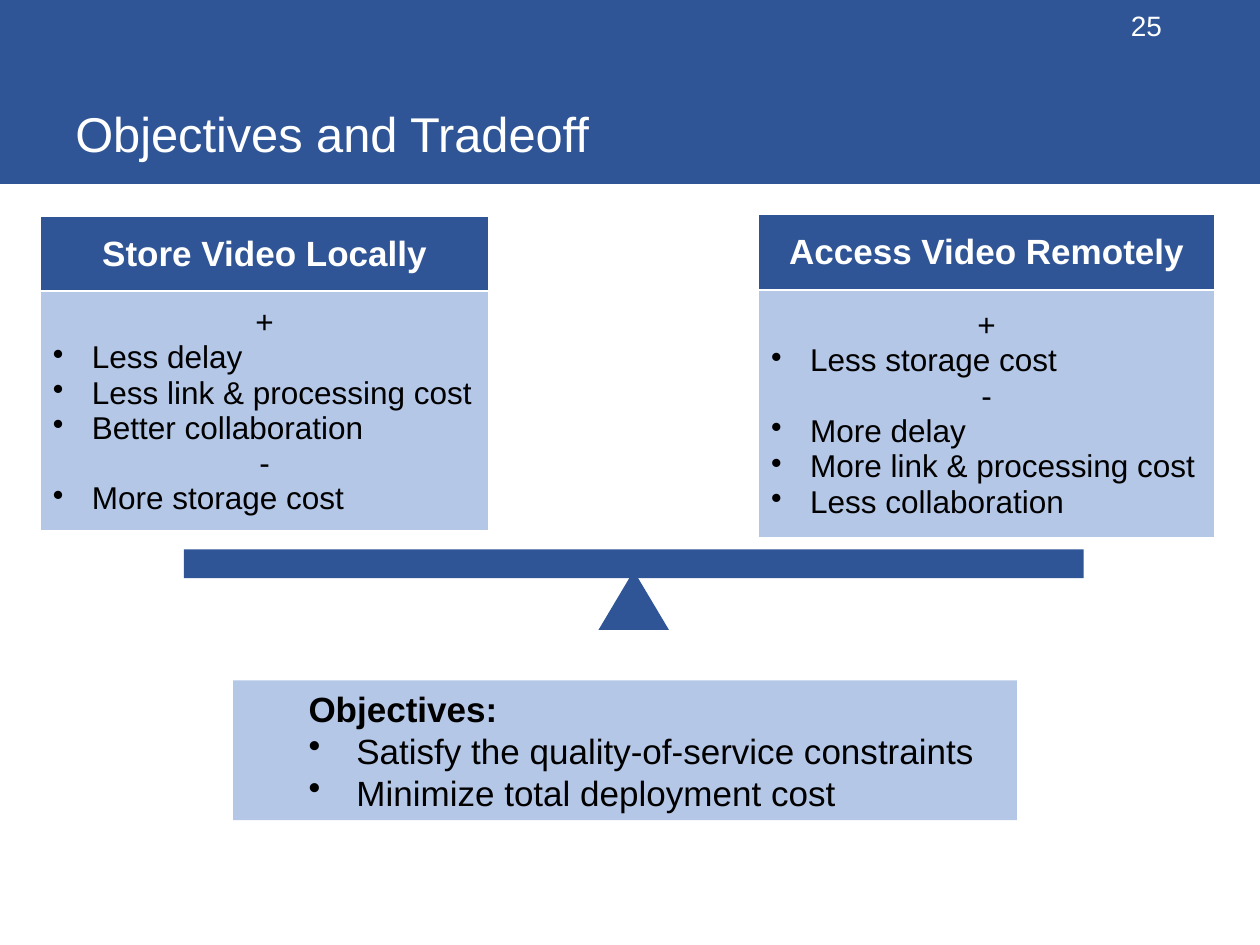
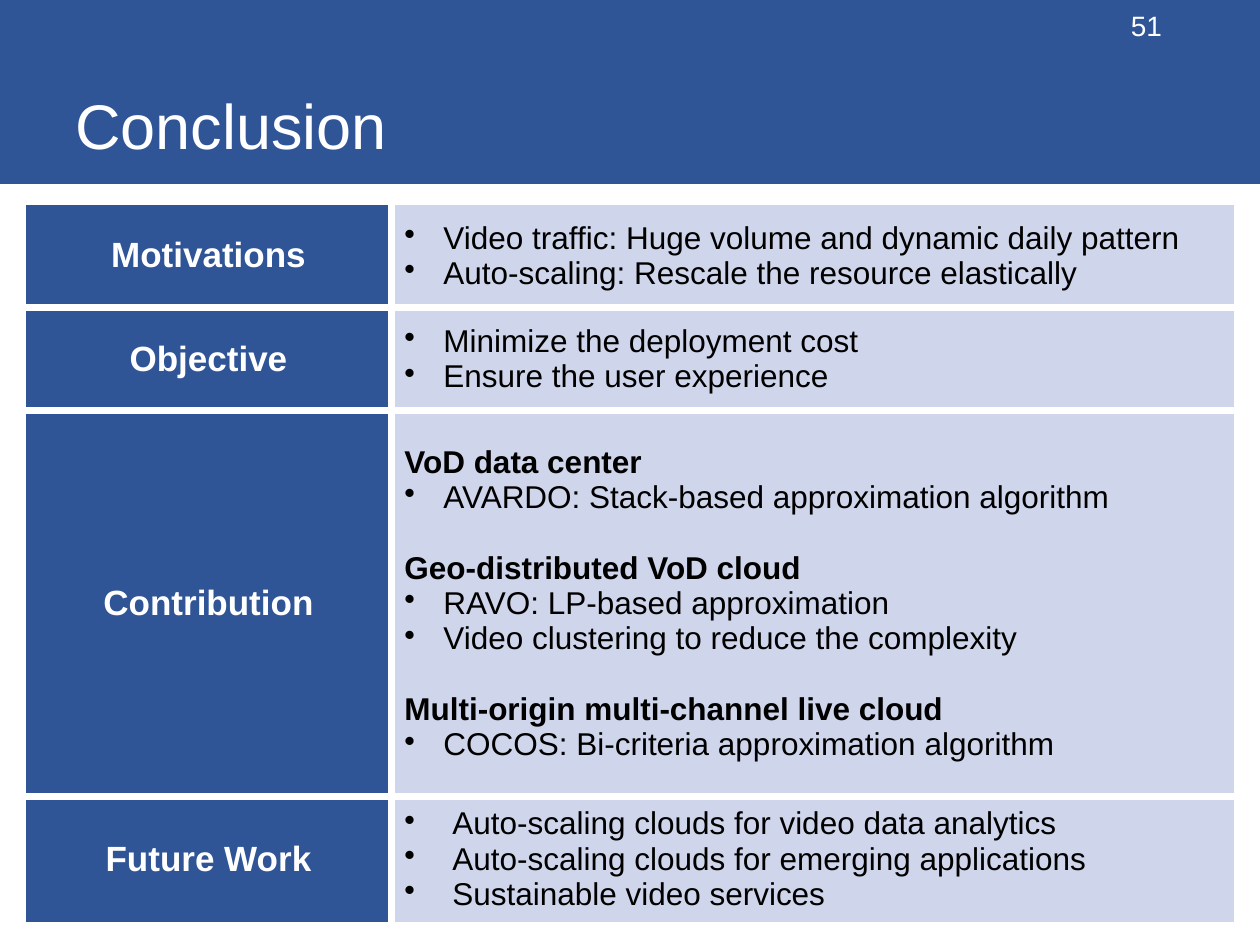
import pptx
import pptx.util
import pptx.dml.color
import pptx.enum.shapes
import pptx.enum.text
import pptx.oxml
import pptx.oxml.ns
from collections import namedtuple

Inches = pptx.util.Inches
Pt = pptx.util.Pt
RGBColor = pptx.dml.color.RGBColor
Shape = pptx.enum.shapes.MSO_SHAPE
Align = pptx.enum.text.PP_ALIGN
Anchor = pptx.enum.text.MSO_ANCHOR

NAVY = RGBColor(0x2F, 0x55, 0x97)
SKY = RGBColor(0xB4, 0xC7, 0xE7)
MIST = RGBColor(0xCF, 0xD5, 0xEA)
WHITE = RGBColor(0xFF, 0xFF, 0xFF)
BLACK = RGBColor(0, 0, 0)
FONT = "Arial"

Box = namedtuple("Box", "left top width height")
Line = namedtuple("Line", "text style")

LABEL = {"size": 20, "color": WHITE, "bold": True, "align": Align.CENTER}
BODY = {"size": 18, "color": BLACK, "bold": False, "align": Align.LEFT}
SIGN = {**BODY, "align": Align.CENTER}
BULLET = {**BODY, "margin": 0.31, "hang": 0.31}
WIDE_BULLET = {**BODY, "margin": 0.38, "hang": 0.38}
TOPIC = {**BODY, "bold": True}
SPACED_TOPIC = {**TOPIC, "before": 20.2}
GOAL_HEAD = {**BODY, "size": 20, "bold": True, "margin": 0.5}
GOAL = {**BODY, "size": 20, "margin": 0.88, "hang": 0.38}
PAGE_NUMBER = {"size": 16, "color": WHITE, "bold": False, "align": Align.RIGHT}


def lines(style, *texts):
    return [Line(text, style) for text in texts]


def set_all(target, values):
    for name, value in values.items():
        setattr(target, name, value)


def write_lines(frame, content):
    for index, line in enumerate(content):
        style = line.style
        para = frame.paragraphs[0] if index == 0 else frame.add_paragraph()
        set_all(para, {"alignment": style["align"], "space_before": Pt(style.get("before", 0))})
        span = para.add_run()
        span.text = line.text
        set_all(span.font, {"name": FONT, "size": Pt(style["size"]), "bold": style["bold"]})
        span.font.color.rgb = style["color"]
        properties = para._p.get_or_add_pPr()
        properties.set("marL", str(Inches(style.get("margin", 0))))
        properties.set("indent", str(-Inches(style.get("hang", 0))))
        if "hang" in style:
            bullet = pptx.oxml.parse_xml(
                '<a:buChar %s char="•"/>' % pptx.oxml.ns.nsdecls("a"))
            properties.append(bullet)


def add_block(shapes, kind, box, color):
    block = shapes.add_shape(kind, *map(Inches, box))
    block.shadow.inherit = False
    block.fill.solid()
    block.fill.fore_color.rgb = color
    block.line.fill.background()
    return block


def add_text(page, box, anchor, content):
    frame = page.shapes.add_textbox(*map(Inches, box)).text_frame
    set_all(frame, {"word_wrap": True, "vertical_anchor": anchor})
    write_lines(frame, content)
    return frame


def add_header(page, box, title, size, number):
    add_block(page.shapes, Shape.RECTANGLE, box, NAVY)
    title_box = Box(box.left + 0.5, box.top + 0.36, 9.06, 0.96)
    title_style = {**BODY, "size": size, "color": WHITE}
    frame = add_text(page, title_box, Anchor.BOTTOM, lines(title_style, title))
    frame.margin_bottom = Inches(0.03)
    number_box = Box(box.left + 6.63, box.top, 2.69, 0.4)
    add_text(page, number_box, Anchor.MIDDLE, lines(PAGE_NUMBER, number))


def set_border(cell, tag, width):
    properties = cell._tc.get_or_add_tcPr()
    border = pptx.oxml.parse_xml(
        '<a:%s %s w="%d"><a:solidFill><a:srgbClr val="%s"/></a:solidFill></a:%s>'
        % (tag, pptx.oxml.ns.nsdecls("a"), Pt(width), WHITE, tag))
    properties.append(border)


def add_grid(page, box, widths, heights, rows, body_color, inner=1):
    table = page.shapes.add_table(len(heights), len(widths), *map(Inches, box)).table
    set_all(table, {"first_row": False, "horz_banding": False})
    for column, width in zip(table.columns, widths):
        column.width = Inches(width)
    for row, height in zip(table.rows, heights):
        row.height = Inches(height)
    last_row, last_column = len(heights) - 1, len(widths) - 1
    for r, row in enumerate(rows):
        for c, content in enumerate(row):
            cell = table.cell(r, c)
            cell.vertical_anchor = Anchor.MIDDLE
            write_lines(cell.text_frame, content)
            edges = {"lnL": c == 0, "lnR": c == last_column,
                     "lnT": r == 0, "lnB": r == last_row}
            for tag, outer in edges.items():
                set_border(cell, tag, 1 if outer else inner)
            cell.fill.solid()
            cell.fill.fore_color.rgb = NAVY if content[0].style is LABEL else body_color


def add_option(page, box, heading_height, heading, gains, losses):
    body = (lines(SIGN, "+") + lines(BULLET, *gains)
            + lines(SIGN, "-") + lines(BULLET, *losses))
    heights = [heading_height, box.height - heading_height]
    add_grid(page, box, [box.width], heights, [[lines(LABEL, heading)], [body]], SKY)


def add_balance(page, box):
    balance = page.shapes.add_group_shape().shapes
    pivot_width, pivot_height = 0.56, 0.47
    pivot = Box(box.left + (box.width - pivot_width) / 2,
                box.top + box.height - pivot_height, pivot_width, pivot_height)
    add_block(balance, Shape.ISOSCELES_TRIANGLE, pivot, NAVY)
    add_block(balance, Shape.RECTANGLE, box._replace(height=0.23), NAVY)


def add_objectives(page, box):
    frame = add_block(page.shapes, Shape.RECTANGLE, box, SKY).text_frame
    set_all(frame, {"word_wrap": True, "vertical_anchor": Anchor.MIDDLE})
    write_lines(frame, lines(GOAL_HEAD, "Objectives:") + lines(
        GOAL, "Satisfy the quality-of-service constraints", "Minimize total deployment cost"))


def build_tradeoff(page, box):
    add_header(page, box._replace(height=1.46), "Objectives and Tradeoff", 27.9, "25")
    add_option(page, Box(0.32, 1.72, 3.56, 2.37), 0.59, "Store Video Locally",
               ["Less delay", "Less link & processing cost", "Better collaboration"],
               ["More storage cost"])
    add_option(page, Box(6.02, 1.7, 3.62, 2.57), 0.6, "Access Video Remotely",
               ["Less storage cost"],
               ["More delay", "More link & processing cost", "Less collaboration"])
    add_balance(page, Box(1.46, 4.36, 7.14, 0.64))
    add_objectives(page, Box(1.85, 5.4, 6.22, 1.11))


def build_conclusion(page, box):
    add_header(page, box._replace(height=1.46), "Conclusion", 36, "51")
    contribution = (
        lines(TOPIC, "VoD data center")
        + lines(BULLET, "AVARDO: Stack-based approximation algorithm")
        + lines(SPACED_TOPIC, "Geo-distributed VoD cloud")
        + lines(BULLET, "RAVO: LP-based approximation",
                "Video clustering to reduce the complexity")
        + lines(SPACED_TOPIC, "Multi-origin multi-channel live cloud")
        + lines(BULLET, "COCOS: Bi-criteria approximation algorithm"))
    summary = {
        "Motivations": lines(BULLET, "Video traffic: Huge volume and dynamic daily pattern",
                             "Auto-scaling: Rescale the resource elastically"),
        "Objective": lines(BULLET, "Minimize the deployment cost",
                           "Ensure the user experience"),
        "Contribution": contribution,
        "Future Work": lines(WIDE_BULLET, "Auto-scaling clouds for video data analytics",
                             "Auto-scaling clouds for emerging applications",
                             "Sustainable video services"),
    }
    rows = [[lines(LABEL, label), body] for label, body in summary.items()]
    add_grid(page, Box(box.left + 0.2, box.top + 1.62, 9.6, 5.64), [2.91, 6.69],
             [0.82, 0.82, 3.06, 0.94], rows, MIST, inner=4.5)


def main():
    deck = pptx.Presentation()
    set_all(deck, {"slide_width": Inches(10), "slide_height": Inches(7.5)})
    for build in (build_tradeoff, build_conclusion):
        page = deck.slides.add_slide(deck.slide_layouts[6])
        build(page, Box(0, 0, 10, 7.5))
    deck.save("out.pptx")


if __name__ == "__main__":
    main()
